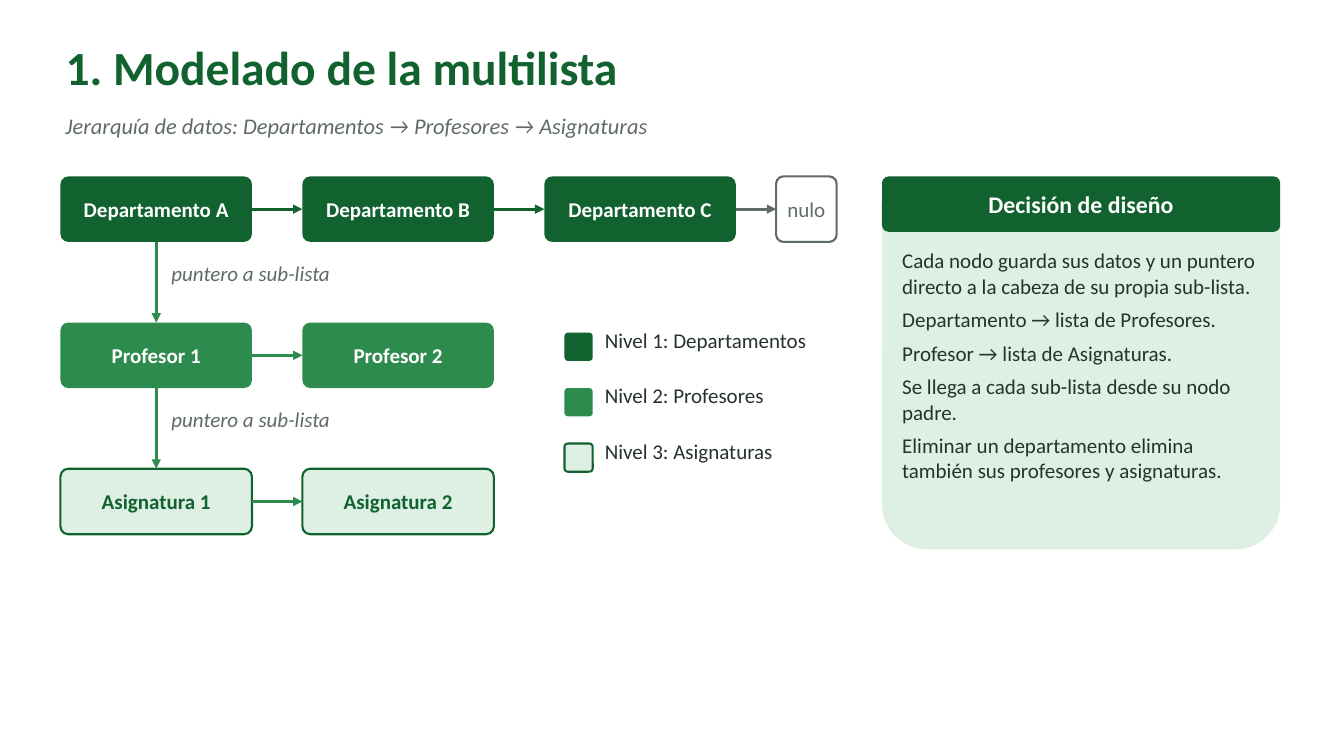
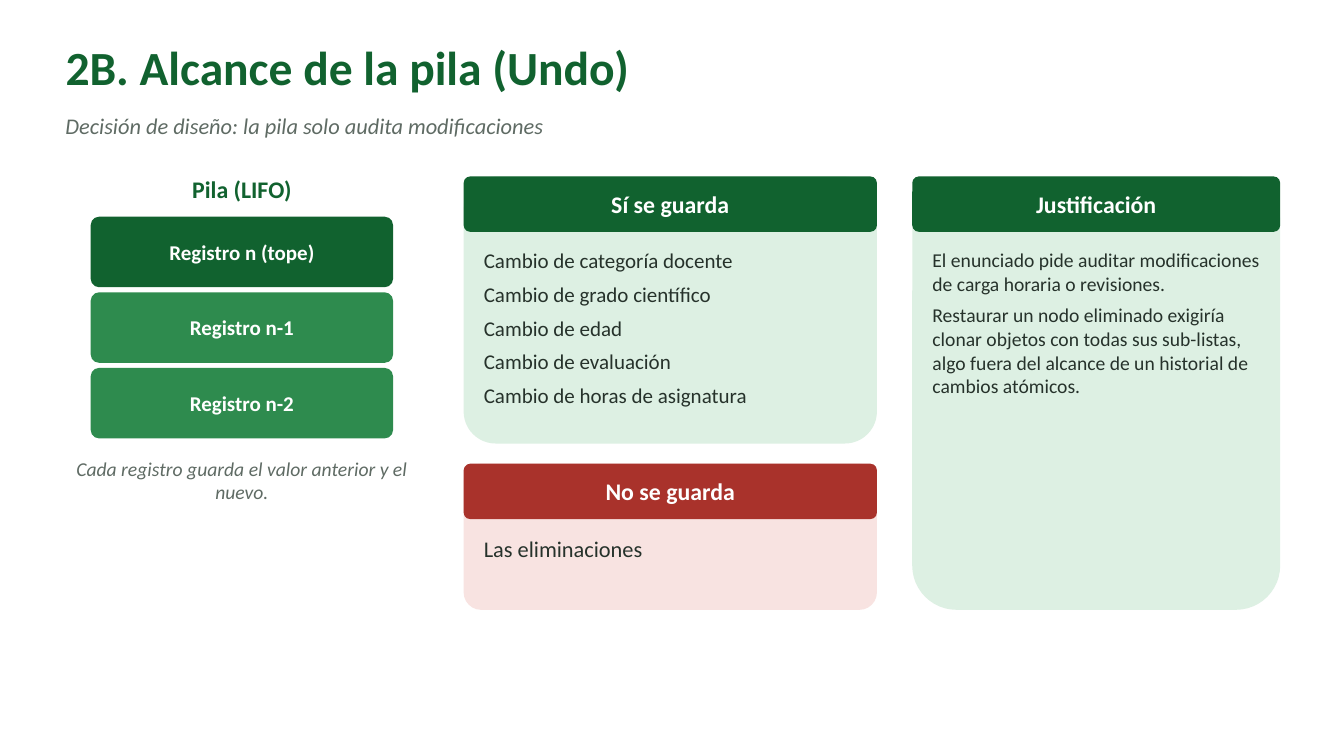
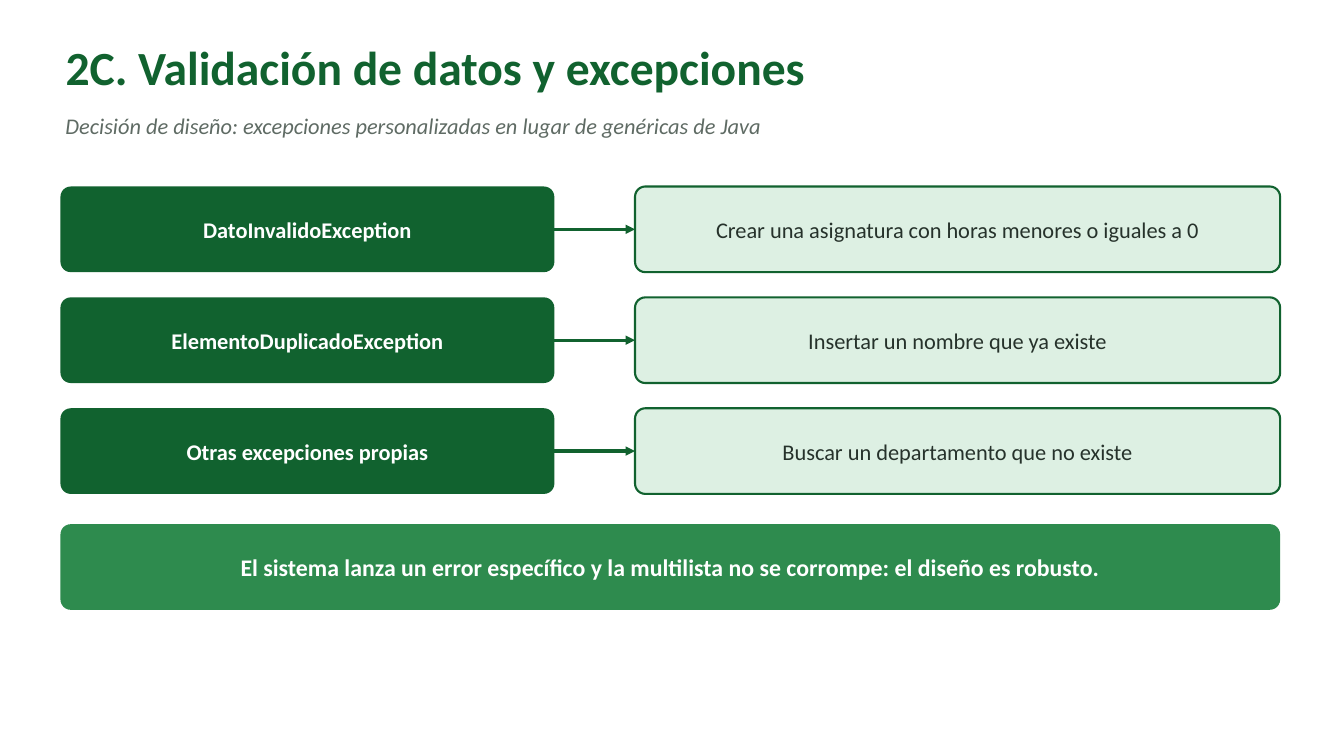
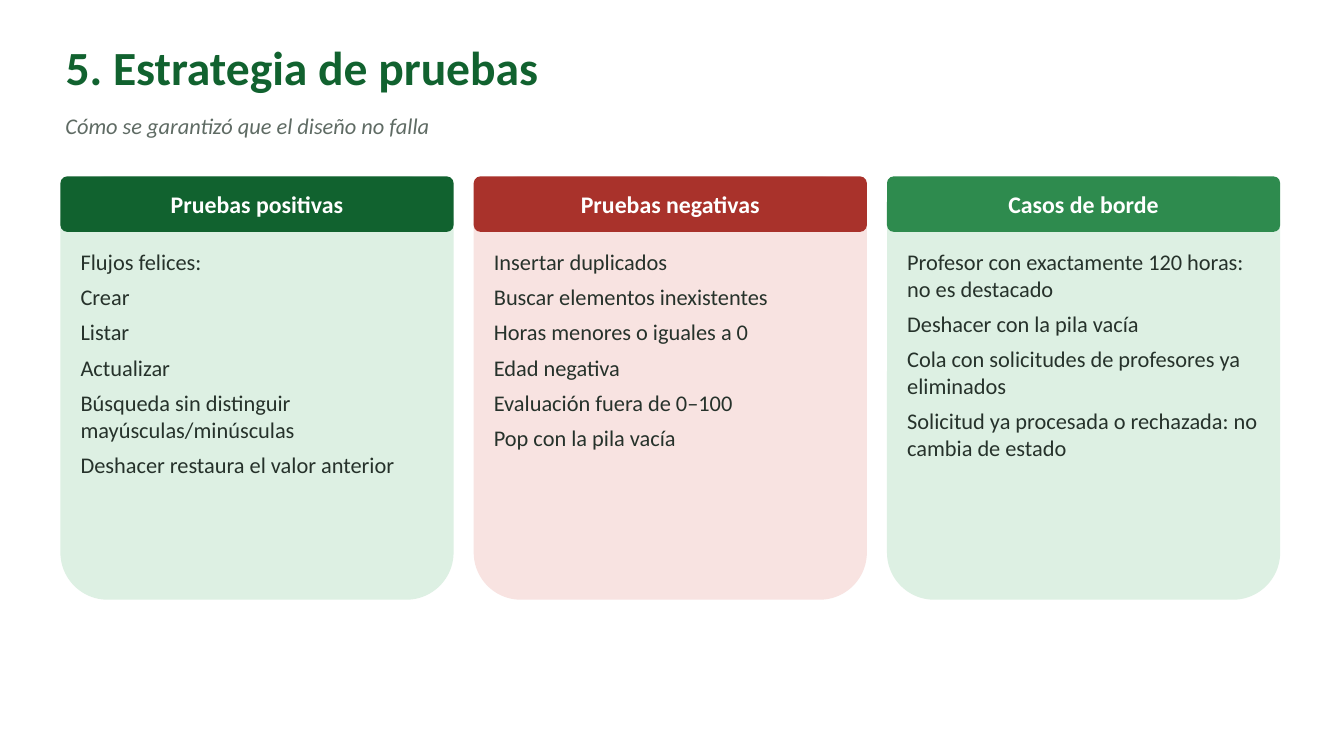
"""Build four slides on the design and testing of a multilist system."""
from dataclasses import dataclass
from itertools import pairwise

from lxml import etree
from pptx import Presentation
from pptx import util as u
from pptx.dml.color import RGBColor
from pptx.enum import shapes, text
from pptx.oxml.ns import qn

PX = 9144


@dataclass(frozen=True)
class Theme:
    font: str = "Calibri"
    dark: str = "11622F"
    green: str = "2E8B4E"
    pale: str = "DDF0E3"
    red: str = "A9322B"
    pink: str = "F8E3E1"
    gray: str = "5F6B64"
    ink: str = "26322B"
    white: str = "FFFFFF"
    title: int = 34
    heading: int = 17
    large: int = 16
    body: int = 15
    small: int = 14


theme = Theme()


def block(slide, box, lines=(), size=theme.body, color=theme.ink, fill=None, outline=None,
          bold=False, italic=False, centered=False, placeholder=None):
    """Place text; a fill or outline puts it in a rounded box."""
    left, top, width, height = (n * PX for n in box)
    boxed = bool(fill or outline)
    if placeholder is not None:
        shape = placeholder
        shape.left, shape.top, shape.width, shape.height = left, top, width, height
    elif boxed:
        shape = slide.shapes.add_shape(shapes.MSO_SHAPE.ROUNDED_RECTANGLE, left, top, width, height)
        shape.shadow.inherit = False
        shape.adjustments[0] = 0.12
        if fill:
            shape.fill.solid()
            shape.fill.fore_color.rgb = RGBColor.from_string(fill)
        else:
            shape.fill.background()
        if outline:
            shape.line.color.rgb = RGBColor.from_string(outline)
            shape.line.width = u.Pt(1.5)
        else:
            shape.line.fill.background()
    else:
        shape = slide.shapes.add_textbox(left, top, width, height)

    frame = shape.text_frame
    frame.word_wrap = True
    frame.margin_left = frame.margin_right = (8 if boxed else 5) * PX
    frame.margin_top = frame.margin_bottom = (4 if boxed else 3) * PX
    frame.vertical_anchor = text.MSO_ANCHOR.MIDDLE if boxed else text.MSO_ANCHOR.TOP
    frame.auto_size = text.MSO_AUTO_SIZE.NONE if boxed else text.MSO_AUTO_SIZE.SHAPE_TO_FIT_TEXT
    for i, line in enumerate(lines):
        paragraph = frame.add_paragraph() if i else frame.paragraphs[0]
        paragraph.text = line
        paragraph.alignment = text.PP_ALIGN.CENTER if boxed or centered else text.PP_ALIGN.LEFT
        paragraph.space_before = u.Pt(6 if i else 0)
        font = paragraph.font
        font.name, font.size, font.bold, font.italic = theme.font, u.Pt(size), bold, italic
        font.color.rgb = RGBColor.from_string(color)
    return shape


def arrow(slide, origin, target, color, down=False):
    """Join two boxes, left to right or top to bottom."""
    link = slide.shapes.add_connector(shapes.MSO_CONNECTOR.STRAIGHT, 0, 0, 0, 0)
    link.begin_connect(origin, 2 if down else 3)
    link.end_connect(target, 0 if down else 1)
    link.line.color.rgb = RGBColor.from_string(color)
    link.line.width = u.Pt(2.25)
    properties = link._element.spPr
    etree.SubElement(properties.find(qn("a:ln")), qn("a:tailEnd"), type="triangle")
    etree.SubElement(properties, qn("a:effectLst"))


deck = Presentation()
deck.slide_width, deck.slide_height = u.Inches(13.333), u.Inches(7.5)

headers = [
    ("1. Modelado de la multilista", "Jerarquía de datos: Departamentos → Profesores → Asignaturas"),
    ("2B. Alcance de la pila (Undo)", "Decisión de diseño: la pila solo audita modificaciones"),
    ("2C. Validación de datos y excepciones",
     "Decisión de diseño: excepciones personalizadas en lugar de genéricas de Java"),
    ("5. Estrategia de pruebas", "Cómo se garantizó que el diseño no falla"),
]
for title, subtitle in headers:
    slide = deck.slides.add_slide(deck.slide_layouts[5])
    block(slide, (60, 35, 1210, 80), [title], theme.title, theme.dark, bold=True,
          placeholder=slide.shapes.title)
    block(slide, (60, 108, 1210, 45), [subtitle], theme.large, theme.gray, italic=True)
model, stack, validation, testing = deck.slides

levels = [
    (["Departamento A", "Departamento B", "Departamento C"], "Nivel 1: Departamentos",
     theme.dark, None, theme.white, theme.dark),
    (["Profesor 1", "Profesor 2"], "Nivel 2: Profesores",
     theme.green, None, theme.white, theme.green),
    (["Asignatura 1", "Asignatura 2"], "Nivel 3: Asignaturas",
     theme.pale, theme.dark, theme.dark, theme.green),
]
rows = []
for level, (names, legend, fill, outline, color, link_color) in enumerate(levels):
    nodes = [block(model, (60 + 240 * column, 175 + 145 * level, 190, 65), [name],
                   color=color, fill=fill, outline=outline, bold=True)
             for column, name in enumerate(names)]
    for origin, target in pairwise(nodes):
        arrow(model, origin, target, link_color)
    rows.append(nodes)
    block(model, (560, 330 + 55 * level, 28, 28), fill=fill, outline=outline)
    block(model, (595, 322 + 55 * level, 260, 40), [legend])

null = block(model, (770, 175, 60, 65), ["nulo"], color=theme.gray, outline=theme.gray)
arrow(model, rows[0][-1], null, theme.gray)
for level, (parents, children) in enumerate(pairwise(rows)):
    arrow(model, parents[0], children[0], theme.green, down=True)
    block(model, (165, 255 + 145 * level, 200, 40), ["puntero a sub-lista"],
          color=theme.gray, italic=True)

block(stack, (60, 170, 360, 40), ["Pila (LIFO)"], theme.heading, theme.dark,
      bold=True, centered=True)
for i, record in enumerate(["Registro n (tope)", "Registro n-1", "Registro n-2"]):
    block(stack, (90, 215 + 75 * i, 300, 70), [record], color=theme.white,
          fill=theme.green if i else theme.dark, bold=True)
block(stack, (60, 450, 360, 90), ["Cada registro guarda el valor anterior y el nuevo."],
      theme.small, theme.gray, italic=True, centered=True)

rules = [
    ("DatoInvalidoException", "Crear una asignatura con horas menores o iguales a 0"),
    ("ElementoDuplicadoException", "Insertar un nombre que ya existe"),
    ("Otras excepciones propias", "Buscar un departamento que no existe"),
]
for i, (exception, trigger) in enumerate(rules):
    top = 185 + 110 * i
    cause = block(validation, (60, top, 490, 85), [exception], theme.large, theme.white,
                  fill=theme.dark, bold=True)
    case = block(validation, (630, top, 640, 85), [trigger], theme.large,
                 fill=theme.pale, outline=theme.dark)
    arrow(validation, cause, case, theme.dark)
block(validation, (60, 520, 1210, 85),
      ["El sistema lanza un error específico y la multilista no se corrompe: el diseño es robusto."],
      theme.heading, theme.white, fill=theme.green, bold=True)

cards = [
    (model, (875, 175, 395, 370), "Decisión de diseño", theme.dark, theme.pale, theme.body, [
        "Cada nodo guarda sus datos y un puntero directo a la cabeza de su propia sub-lista.",
        "Departamento → lista de Profesores.",
        "Profesor → lista de Asignaturas.",
        "Se llega a cada sub-lista desde su nodo padre.",
        "Eliminar un departamento elimina también sus profesores y asignaturas.",
    ]),
    (stack, (460, 175, 410, 265), "Sí se guarda", theme.dark, theme.pale, theme.body, [
        "Cambio de categoría docente",
        "Cambio de grado científico",
        "Cambio de edad",
        "Cambio de evaluación",
        "Cambio de horas de asignatura",
    ]),
    (stack, (460, 460, 410, 145), "No se guarda", theme.red, theme.pink, theme.large, [
        "Las eliminaciones",
    ]),
    (stack, (905, 175, 365, 430), "Justificación", theme.dark, theme.pale, theme.small, [
        "El enunciado pide auditar modificaciones de carga horaria o revisiones.",
        "Restaurar un nodo eliminado exigiría clonar objetos con todas sus sub-listas, "
        "algo fuera del alcance de un historial de cambios atómicos.",
    ]),
    (testing, (60, 175, 390, 420), "Pruebas positivas", theme.dark, theme.pale, theme.large, [
        "Flujos felices:",
        "Crear",
        "Listar",
        "Actualizar",
        "Búsqueda sin distinguir mayúsculas/minúsculas",
        "Deshacer restaura el valor anterior",
    ]),
    (testing, (470, 175, 390, 420), "Pruebas negativas", theme.red, theme.pink, theme.large, [
        "Insertar duplicados",
        "Buscar elementos inexistentes",
        "Horas menores o iguales a 0",
        "Edad negativa",
        "Evaluación fuera de 0–100",
        "Pop con la pila vacía",
    ]),
    (testing, (880, 175, 390, 420), "Casos de borde", theme.green, theme.pale, theme.large, [
        "Profesor con exactamente 120 horas: no es destacado",
        "Deshacer con la pila vacía",
        "Cola con solicitudes de profesores ya eliminados",
        "Solicitud ya procesada o rechazada: no cambia de estado",
    ]),
]
for slide, (left, top, width, height), heading, accent, tint, size, points in cards:
    block(slide, (left, top, width, height), fill=tint)
    block(slide, (left, top, width, 55), [heading], theme.heading, theme.white,
          fill=accent, bold=True)
    block(slide, (left + 15, top + 68, width - 30, height - 80), points, size)

deck.save("out.pptx")
